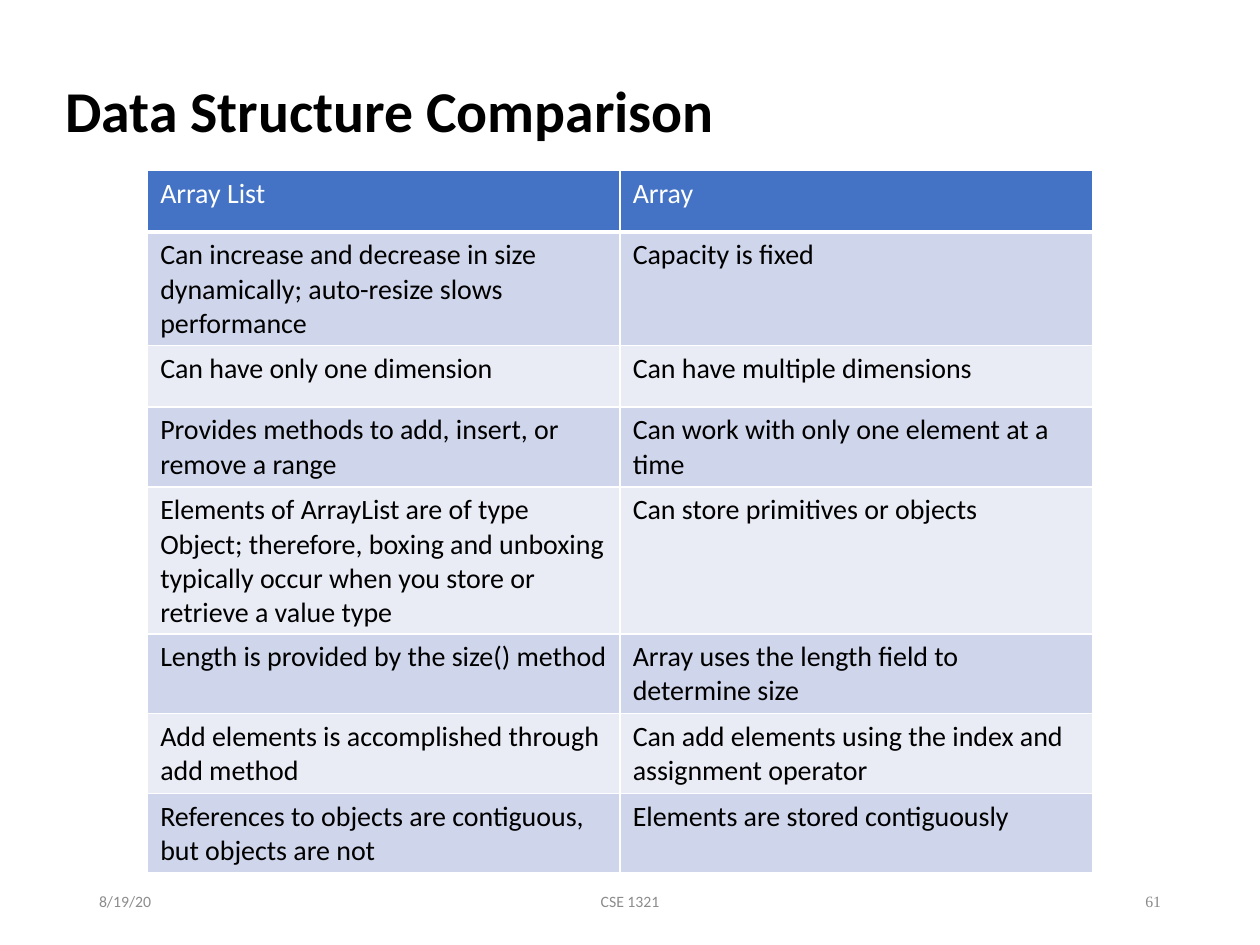
from lxml.etree import SubElement
from pptx import Presentation
from pptx.dml.color import RGBColor
from pptx.enum.text import MSO_ANCHOR as Anchor, MSO_AUTO_SIZE as AutoSize, PP_ALIGN as Align
from pptx.oxml.ns import qn
from pptx.util import Pt

ROWS = [
    ("Array List", "Array"),
    ("Can increase and decrease in size dynamically; auto-resize slows performance",
     "Capacity is fixed"),
    ("Can have only one dimension", "Can have multiple dimensions"),
    ("Provides methods to add, insert, or remove a range",
     "Can work with only one element at a time"),
    ("Elements of ArrayList are of type Object; therefore, boxing and unboxing "
     "typically occur when you store or retrieve a value type",
     "Can store primitives or objects"),
    ("Length is provided by the size() method",
     "Array uses the length field to determine size"),
    ("Add elements is accomplished through add method",
     "Can add elements using the index and assignment operator"),
    ("References to objects are contiguous, but objects are not",
     "Elements are stored contiguously"),
]
ROW_HEIGHTS = [35.2, 59.8, 35.2, 41.8, 77, 41.8, 41.8, 41.8]
HEADER_FILL = "4472C4"
BAND_FILLS = ["E9EBF5", "CFD5EA"]
FOOTERS = [
    ("8/19/20", 49.5, 162, Align.LEFT, "Calibri", "8C8C8C"),
    ("CSE 1321", 238.5, 243, Align.CENTER, "Calibri", "8C8C8C"),
    ("61", 508.5, 162, Align.RIGHT, "Times New Roman", "898989"),
]


def color(value):
    """Return the colour for a hex string."""
    return RGBColor.from_string(value)


def apply(target, values):
    """Set every attribute named in a dict of format values."""
    for name, value in values.items():
        setattr(target, name, value)


def write(frame, text, hue, para_format, **font_format):
    """Put one formatted paragraph into a text frame."""
    para = frame.paragraphs[0]
    apply(para, para_format)
    span = para.add_run()
    span.text = text
    apply(span.font, font_format)
    span.font.color.rgb = color(hue)


def add_title(page, text):
    """Place and format the title placeholder."""
    title = page.shapes.title
    apply(title, dict(left=Pt(30.2), top=Pt(40.3), width=Pt(620.6), height=Pt(49)))
    apply(title.text_frame, dict(vertical_anchor=Anchor.MIDDLE, word_wrap=True,
                                 auto_size=AutoSize.NONE))
    write(title.text_frame, text, "000000",
          dict(alignment=Align.LEFT, line_spacing=0.9),
          name="Calibri", size=Pt(33), bold=True)


def add_footer(page, text, left, width, alignment, font, hue):
    """Add one small text box at the foot of the page."""
    box = page.shapes.add_textbox(Pt(left), Pt(500.5), Pt(width), Pt(28.8))
    apply(box.text_frame, dict(vertical_anchor=Anchor.MIDDLE, word_wrap=True))
    write(box.text_frame, text, hue, dict(alignment=alignment), name=font, size=Pt(9))


def add_borders(cell, bottom):
    """Draw white cell borders with the given bottom width."""
    properties = cell._tc.get_or_add_tcPr()
    for side, width in dict(L=1, R=1, T=1, B=bottom).items():
        line = SubElement(properties, qn(f"a:ln{side}"), w=str(Pt(width)))
        fill = SubElement(line, qn("a:solidFill"))
        SubElement(fill, qn("a:srgbClr"), val="FFFFFF")


def add_comparison(page):
    """Add the banded comparison table."""
    table = page.shapes.add_table(len(ROWS), 2, Pt(84.4), Pt(97.4), Pt(540),
                                  Pt(sum(ROW_HEIGHTS))).table
    for index, (texts, height) in enumerate(zip(ROWS, ROW_HEIGHTS)):
        header = index == 0
        table.rows[index].height = Pt(height)
        for cell, text in zip(table.rows[index].cells, texts):
            add_borders(cell, 3 if header else 1)
            cell.fill.solid()
            cell.fill.fore_color.rgb = color(HEADER_FILL if header else BAND_FILLS[index % 2])
            write(cell.text_frame, text, "FFFFFF" if header else "000000", {},
                  name="Calibri", size=Pt(16), bold=False)


def main():
    """Build the deck and save it."""
    deck = Presentation()
    apply(deck, dict(slide_width=Pt(720), slide_height=Pt(540)))
    page = deck.slides.add_slide(deck.slide_layouts[5])
    add_title(page, "Data Structure Comparison")
    for footer in FOOTERS:
        add_footer(page, *footer)
    add_comparison(page)
    deck.save("out.pptx")


if __name__ == "__main__":
    main()
